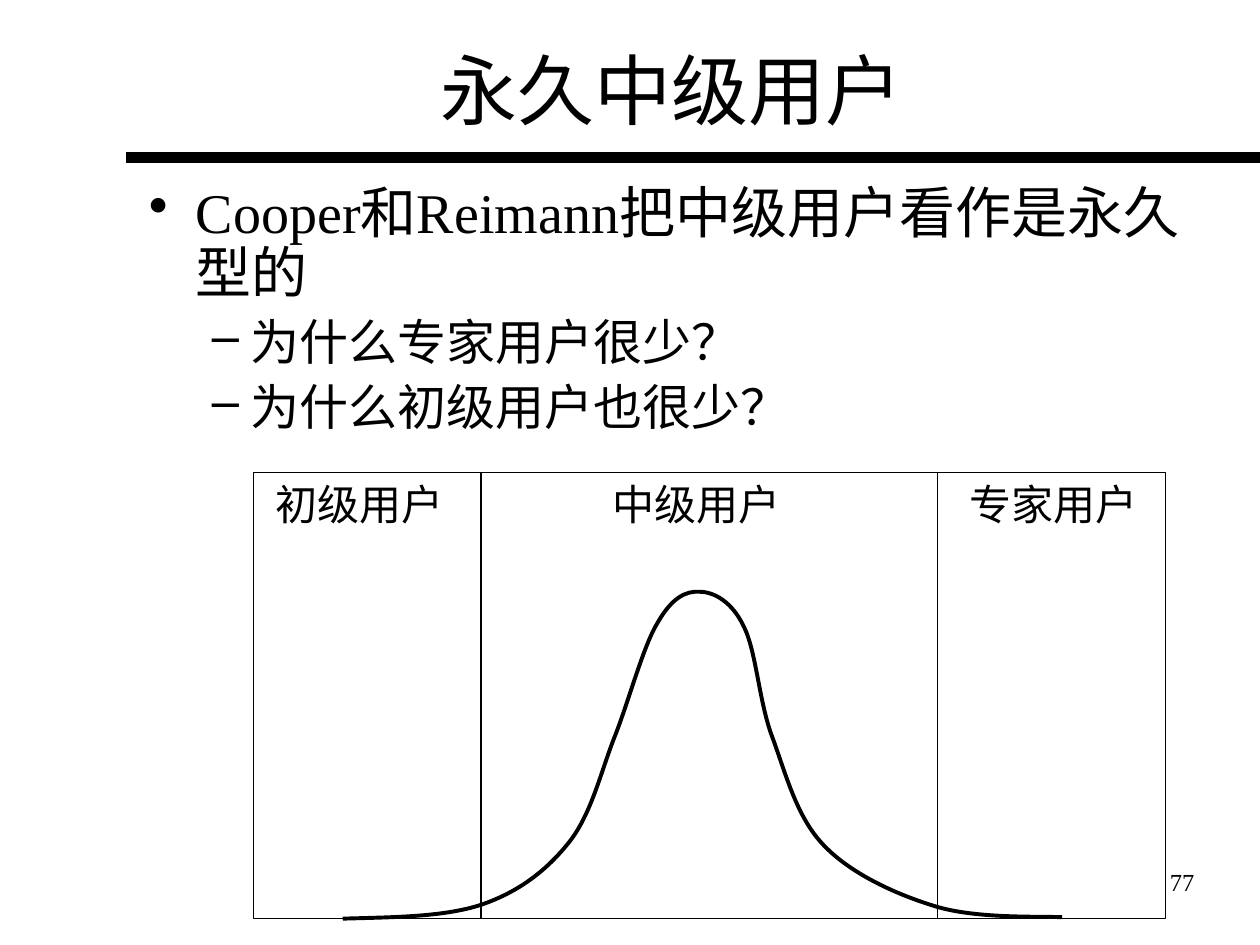
"""Build the slide on perpetual intermediate users with its distribution curve."""
from dataclasses import dataclass

import lxml.etree
import pptx
import pptx.dml.color
import pptx.enum.shapes
import pptx.enum.text
import pptx.oxml.ns
import pptx.shapes.base
import pptx.slide
import pptx.text.text
import pptx.util

Cm = pptx.util.Cm
Pt = pptx.util.Pt
qn = pptx.oxml.ns.qn
Align = pptx.enum.text.PP_ALIGN

BLACK = pptx.dml.color.RGBColor(0x00, 0x00, 0x00)
FONT_NAME = "Times New Roman"
BAND_TOP, BAND_HEIGHT = 9.53, 8.99

CURVE_POINTS = [
    (691, 1852),
    (790, 1849), (894, 1849), (970, 1824),
    (1046, 1798), (1102, 1755), (1148, 1697),
    (1194, 1638), (1212, 1552), (1242, 1478),
    (1270, 1405), (1298, 1300), (1326, 1255),
    (1354, 1206), (1382, 1191), (1410, 1193),
    (1440, 1193), (1476, 1214), (1499, 1262),
    (1524, 1311), (1529, 1405), (1554, 1478),
    (1582, 1552), (1603, 1641), (1656, 1699),
    (1709, 1758), (1801, 1801), (1882, 1826),
    (1963, 1852), (2085, 1847), (2141, 1849),
]


@dataclass(frozen=True)
class UserBand:
    label: str
    left: float
    width: float
    label_left: float


@dataclass(frozen=True)
class Bullet:
    text: str
    symbol: str
    size: int
    level: int
    margin: float
    hanging: float
    space_before: int


BANDS = [
    UserBand("初级用户", 5.11, 4.6, 5.31),
    UserBand("专家用户", 18.9, 4.6, 19.3),
    UserBand("中级用户", 9.7, 9.2, 12.09),
]

BULLETS = [
    Bullet("Cooper和Reimann把中级用户看作是永久型的", "•", 32, 0, 0.95, 0.95, 0),
    Bullet("为什么专家用户很少？", "–", 28, 1, 2.06, 0.79, 7),
    Bullet("为什么初级用户也很少？", "–", 28, 1, 2.06, 0.79, 7),
]


def set_attributes(target: object, values: dict) -> None:
    for name, value in values.items():
        setattr(target, name, value)


def add_text_frame(slide: pptx.slide.Slide, left: float, top: float, width: float,
                   height: float) -> pptx.text.text.TextFrame:
    shape = slide.shapes.add_textbox(Cm(left), Cm(top), Cm(width), Cm(height))
    shape.text_frame.word_wrap = True
    return shape.text_frame


def write_paragraph(paragraph: pptx.text.text._Paragraph, text: str, size: int,
                    alignment: Align = Align.LEFT) -> None:
    paragraph.alignment = alignment
    run = paragraph.add_run()
    run.text = text
    set_attributes(run.font, {"name": FONT_NAME, "size": Pt(size)})
    run.font.color.rgb = BLACK


def add_bullets(slide: pptx.slide.Slide, bullets: list[Bullet]) -> None:
    frame = add_text_frame(slide, 2.75, 3.6, 22.15, 5.53)
    for index, bullet in enumerate(bullets):
        paragraph = frame.add_paragraph() if index else frame.paragraphs[0]
        set_attributes(paragraph, {
            "level": bullet.level,
            "line_spacing": 0.9,
            "space_before": Pt(bullet.space_before),
        })
        properties = paragraph._p.get_or_add_pPr()
        properties.set("marL", str(Cm(bullet.margin)))
        properties.set("indent", str(-Cm(bullet.hanging)))
        symbol = lxml.etree.SubElement(properties, qn("a:buChar"))
        symbol.set("char", bullet.symbol)
        write_paragraph(paragraph, bullet.text, bullet.size)


def style_outline(shape: pptx.shapes.base.BaseShape, width: float) -> None:
    shape.shadow.inherit = False
    shape.fill.background()
    shape.line.color.rgb = BLACK
    shape.line.width = Pt(width)


def add_curve(slide: pptx.slide.Slide, points: list[tuple[int, int]]) -> None:
    builder = slide.shapes.build_freeform(*points[0], scale=Cm(0.01))
    builder.add_line_segments(points[1:], close=False)
    curve = builder.convert_to_shape()
    segments = list(curve._element.iter(qn("a:lnTo")))
    for start in range(0, len(segments), 3):
        bezier = lxml.etree.Element(qn("a:cubicBezTo"))
        segments[start].addprevious(bezier)
        for segment in segments[start:start + 3]:
            bezier.append(segment[0])
            segment.getparent().remove(segment)
    style_outline(curve, 2.25)


def add_band(slide: pptx.slide.Slide, band: UserBand) -> None:
    rectangle = slide.shapes.add_shape(
        pptx.enum.shapes.MSO_SHAPE.RECTANGLE,
        Cm(band.left), Cm(BAND_TOP), Cm(band.width), Cm(BAND_HEIGHT))
    style_outline(rectangle, 0.75)


def add_band_label(slide: pptx.slide.Slide, band: UserBand) -> None:
    frame = add_text_frame(slide, band.label_left, BAND_TOP, 3.99, 1.27)
    write_paragraph(frame.paragraphs[0], band.label, 24)


def add_title_rule(slide: pptx.slide.Slide) -> None:
    rule = slide.shapes.add_connector(
        pptx.enum.shapes.MSO_CONNECTOR.STRAIGHT, Cm(2.54), Cm(3.18), Cm(25.4), Cm(3.18))
    rule.line.color.rgb = BLACK
    rule.line.width = Pt(6)
    lxml.etree.SubElement(rule._element.spPr, qn("a:effectLst"))


def main() -> None:
    presentation = pptx.Presentation()
    set_attributes(presentation, {"slide_width": Cm(25.4), "slide_height": Cm(19.05)})
    slide = presentation.slides.add_slide(presentation.slide_layouts[6])

    page_number = add_text_frame(slide, 19.05, 17.35, 5.28, 1.27)
    write_paragraph(page_number.paragraphs[0], "77", 14, Align.RIGHT)
    title = add_text_frame(slide, 2.75, 0.2, 21.59, 3.18)
    title.vertical_anchor = pptx.enum.text.MSO_ANCHOR.MIDDLE
    write_paragraph(title.paragraphs[0], "永久中级用户", 44, Align.CENTER)
    add_bullets(slide, BULLETS)

    add_curve(slide, CURVE_POINTS)
    for band in BANDS:
        add_band(slide, band)
    for band in BANDS:
        add_band_label(slide, band)
    add_title_rule(slide)
    presentation.save("out.pptx")


if __name__ == "__main__":
    main()
